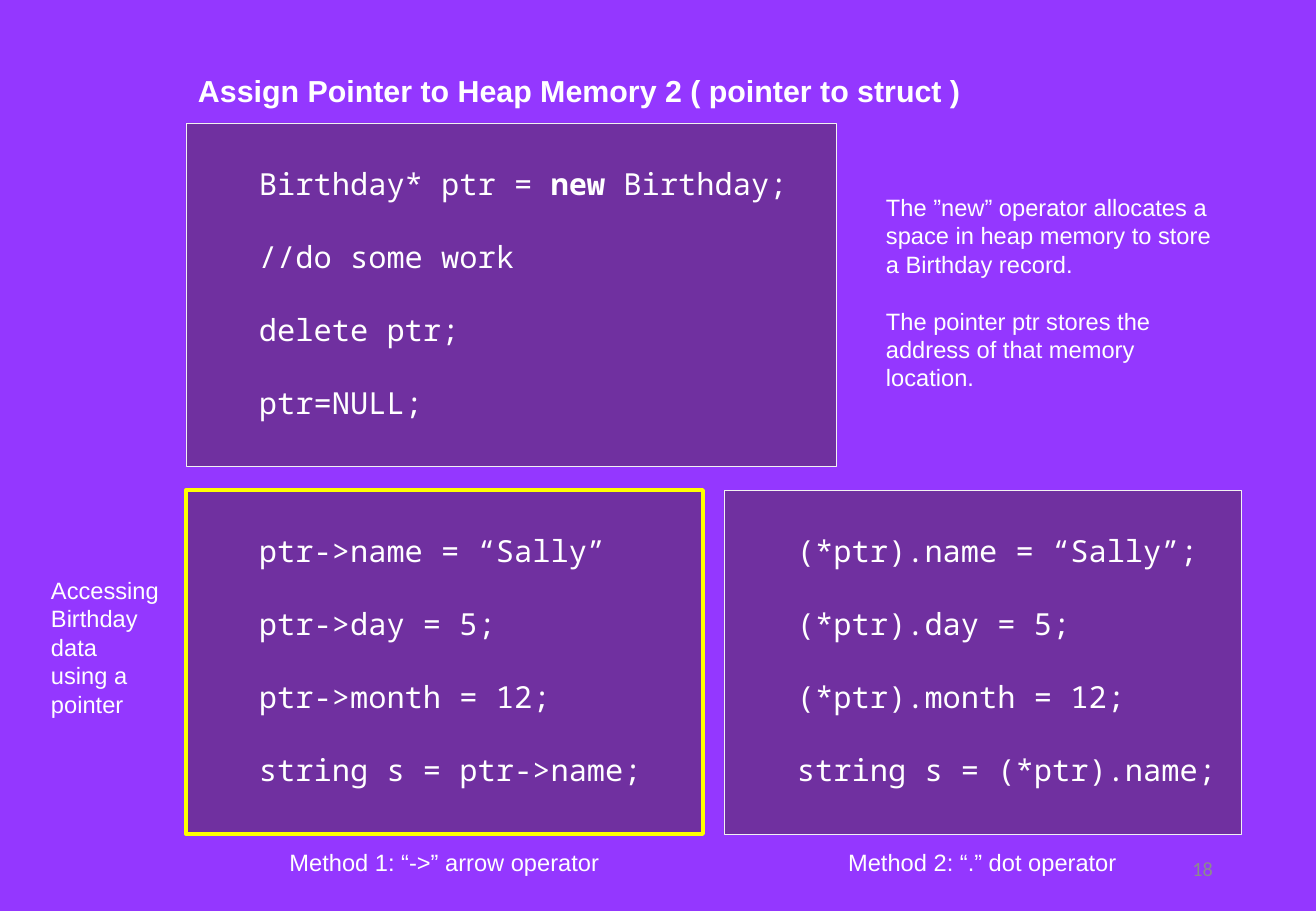
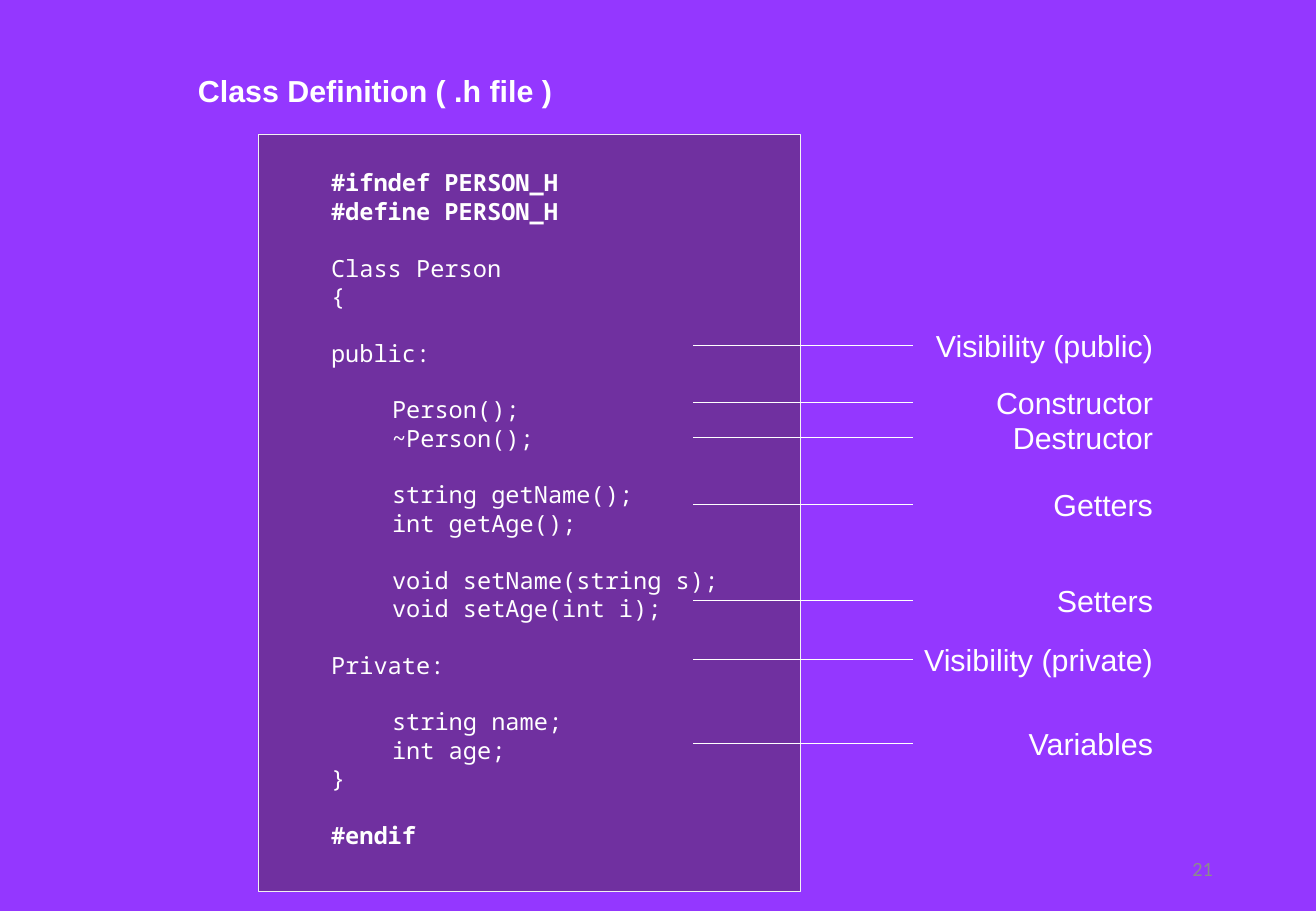
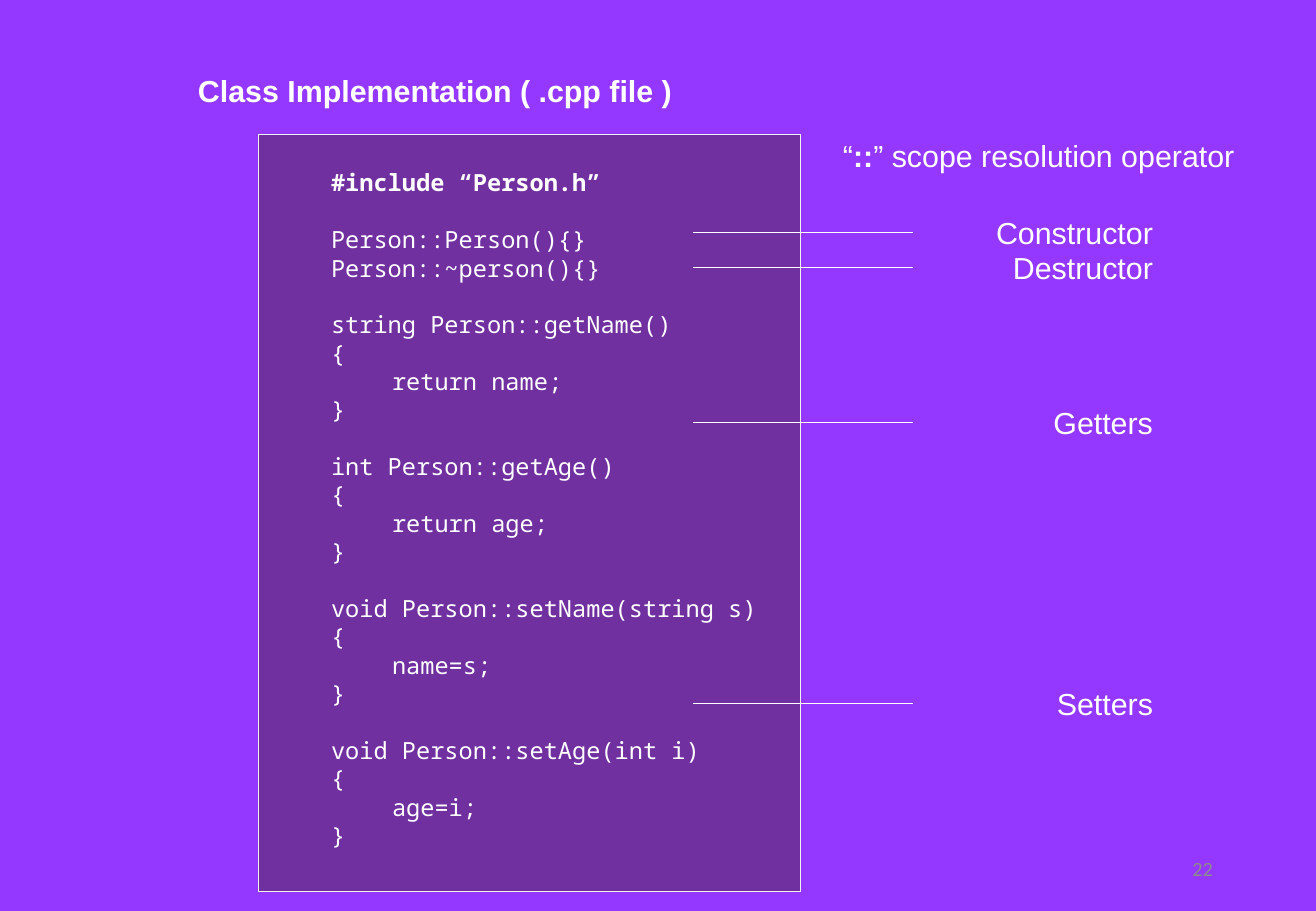
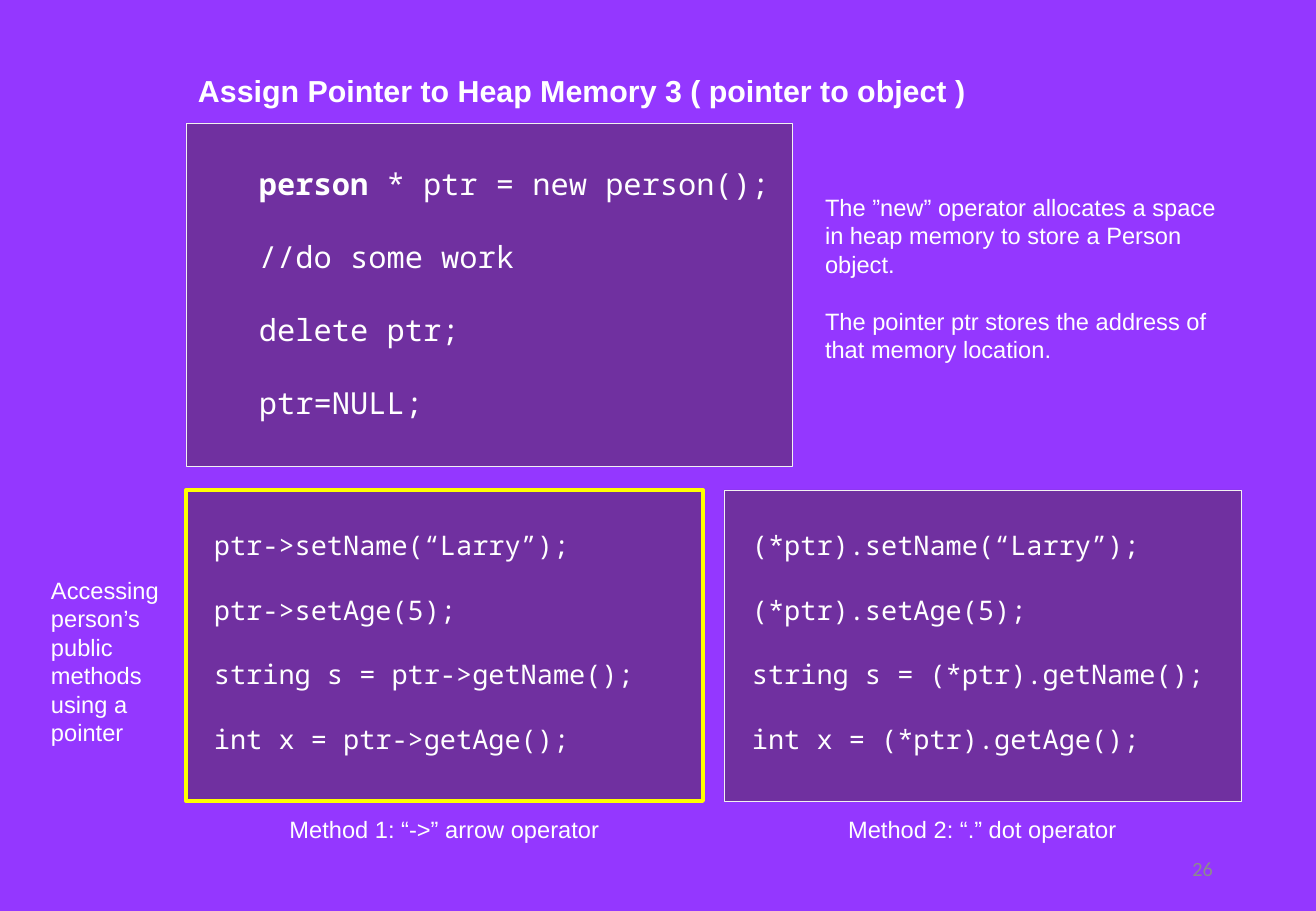
from pptx import Presentation
from pptx import util as u
from pptx.dml.color import RGBColor
from pptx.enum import shapes, text
from pptx.oxml.ns import qn
from lxml import etree

PX = 914400 / 121.5
COLOURS = {
    "page": "9437FF",
    "panel": "7030A0",
    "text": "FFFFFF",
    "border": "F2F2F2",
    "highlight": "FFFF00",
    "number": "8C8C8C",
}
STYLES = {
    "title": {"size": 18, "name": "Arial", "color": "text", "bold": True},
    "label": {"size": 18, "name": "Arial", "color": "text"},
    "note": {"size": 14, "name": "Arial", "color": "text"},
    "code large": {"size": 18, "name": "Noto Sans Mono", "color": "text"},
    "code medium": {"size": 16, "name": "Noto Sans Mono", "color": "text"},
    "code small": {"size": 14, "name": "Noto Sans Mono", "color": "text"},
    "number": {"size": 12, "name": "Calibri", "color": "number"},
}
PAGE_W, PAGE_H = 1316, 911
INSET_X, INSET_Y = 12, 6
TAB = 61
LEFT, RIGHT = 186, 1241
LINE_FACTOR = 1.2
METHODS = ["Method 1: “->” arrow operator", "Method 2: “.” dot operator"]

# Text is a list of blocks with a blank line's gap between them. A block is a
# list of lines, "|" switches bold, and each leading tab is one indent.
POINTER_SLIDES = [
    {
        "number": "18",
        "title": "Assign Pointer to Heap Memory 2 ( pointer to struct )",
        "allocation": [["Birthday* ptr = |new| Birthday;"], ["//do some work"],
                       ["delete ptr;"], ["ptr=NULL;"]],
        "allocation_w": 650,
        "note": [["The ”new” operator allocates a space in heap memory to store a Birthday record."],
                 ["The pointer ptr stores the address of that memory location."]],
        "note_left": 874,
        "side": [["Accessing Birthday data", "using a pointer"]],
        "access": [
            [["ptr->name = “Sally”"], ["ptr->day = 5;"],
             ["ptr->month = 12;"], ["string s = ptr->name;"]],
            [["(*ptr).name = “Sally”;"], ["(*ptr).day = 5;"],
             ["(*ptr).month = 12;"], ["string s = (*ptr).name;"]],
        ],
        "access_style": "code large",
        "access_indent": TAB,
        "access_h": 344,
    },
    {
        "number": "26",
        "title": "Assign Pointer to Heap Memory 3 ( pointer to object )",
        "allocation": [["|person| * ptr = new person();"], ["//do some work"],
                       ["delete ptr;"], ["ptr=NULL;"]],
        "allocation_w": 606,
        "note": [["The ”new” operator allocates a space in heap memory to store a Person object."],
                 ["The pointer ptr stores the address of that memory location."]],
        "note_left": 813,
        "side": [["Accessing person’s public methods using a pointer"]],
        "access": [
            [["ptr->setName(“Larry”);"], ["ptr->setAge(5);"],
             ["string s = ptr->getName();"], ["int x = ptr->getAge();"]],
            [["(*ptr).setName(“Larry”);"], ["(*ptr).setAge(5);"],
             ["string s = (*ptr).getName();"], ["int x = (*ptr).getAge();"]],
        ],
        "access_style": "code medium",
        "access_indent": 16,
        "access_h": 311,
    },
]
CLASS_SLIDES = [
    {
        "number": "21",
        "title": "Class Definition ( .h file )",
        "code": [
            ["|#ifndef PERSON_H|", "|#define PERSON_H|"],
            ["Class Person", "{"],
            ["public:"],
            ["\tPerson();", "\t~Person();"],
            ["\tstring getName();", "\tint getAge();"],
            ["\tvoid setName(string s);", "\tvoid setAge(int i);"],
            ["Private:"],
            ["\tstring name;", "\tint age;", "}"],
            ["|#endif|"],
        ],
        "labels": [("Visibility (public)", 345), ("Constructor", 402), ("Destructor", 437),
                   ("Getters", 504), ("Setters", 600), ("Visibility (private)", 659),
                   ("Variables", 743)],
    },
    {
        "number": "22",
        "title": "Class Implementation ( .cpp file )",
        "code": [
            ["|#include “Person.h”|"],
            ["Person::Person(){}", "Person::~person(){}"],
            ["string Person::getName()", "{", "\treturn name;", "}"],
            ["int Person::getAge()", "{", "\treturn age;", "}"],
            ["void Person::setName(string s)", "{", "\tname=s;", "}"],
            ["void Person::setAge(int i)", "{", "\tage=i;", "}"],
        ],
        "labels": [("Constructor", 232), ("Destructor", 267), ("Getters", 422), ("Setters", 703)],
        "remark": [["“|::|” scope resolution operator"]],
    },
]


def px(*lengths):
    return [u.Emu(round(length * PX)) for length in lengths]


def rgb(name):
    return RGBColor.from_string(COLOURS[name])


def add_spans(para, line, style):
    for index, part in enumerate(line.split("|")):
        if not part:
            continue
        span = para.add_run()
        span.text = part
        values = {"bold": index % 2 == 1, **STYLES[style]}
        span.font.color.rgb = rgb(values.pop("color"))
        values["size"] = u.Pt(values["size"])
        for name, value in values.items():
            setattr(span.font, name, value)


def write(box, blocks, style, indent=0, align="LEFT", anchor="TOP", top=INSET_Y):
    """Fill a box with blocks of lines, one line's height between blocks."""
    frame = box.text_frame
    margins = px(INSET_X, top, INSET_X, INSET_Y)
    for side, margin in zip(("left", "top", "right", "bottom"), margins):
        setattr(frame, f"margin_{side}", margin)
    frame.word_wrap = True
    frame.vertical_anchor = getattr(text.MSO_ANCHOR, anchor)
    pitch = u.Pt(STYLES[style]["size"] * LINE_FACTOR)
    lines = [(line, row == 0) for block in blocks for row, line in enumerate(block)]
    for index, (line, starts_block) in enumerate(lines):
        para = frame.add_paragraph() if index else frame.paragraphs[0]
        para.alignment = getattr(text.PP_ALIGN, align)
        para.line_spacing = pitch
        para.space_before = pitch if index and starts_block else u.Pt(0)
        code = line.lstrip("\t")
        offset = indent + TAB * (len(line) - len(code))
        para._p.get_or_add_pPr().set("marL", str(px(offset)[0]))
        add_spans(para, code, style)


def add_text(page, place, blocks, style, **layout):
    write(page.shapes.add_textbox(*px(*place)), blocks, style, **layout)


def add_panel(page, place, blocks, style, indent=TAB, border="border", weight=0.25):
    """Draw a code panel whose text starts one line below the top."""
    panel = page.shapes.add_shape(shapes.MSO_SHAPE.RECTANGLE, *px(*place))
    panel.shadow.inherit = False
    panel.fill.solid()
    panel.fill.fore_color.rgb = rgb("panel")
    panel.line.color.rgb = rgb(border)
    panel.line.width = u.Pt(weight)
    line_px = STYLES[style]["size"] * LINE_FACTOR * u.Pt(1) / PX
    write(panel, blocks, style, indent=indent, top=INSET_Y + line_px)


def add_pointer_line(page, y):
    line = page.shapes.add_connector(shapes.MSO_CONNECTOR.STRAIGHT, *px(913, y, 693, y))
    line.line.color.rgb = rgb("text")
    line.line.width = u.Pt(0.5)
    etree.SubElement(line._element.spPr, qn("a:effectLst"))


def add_page(deck, content):
    page = deck.slides.add_slide(deck.slide_layouts[6])
    add_text(page, (LEFT, 66, 900, 49), [[content["title"]]], "title")
    add_text(page, (929, 844, 296, 49), [[content["number"]]], "number",
             align="RIGHT", anchor="MIDDLE")
    return page


def add_pointer_page(deck, content):
    page = add_page(deck, content)
    add_panel(page, (LEFT, 123, content["allocation_w"], 343), content["allocation"], "code large")
    note_left = content["note_left"]
    add_text(page, (note_left, 187, RIGHT - note_left, 183), content["note"], "note")
    add_text(page, (39, 570, 143, 183), content["side"], "note")

    top, width, height = 490, 517, content["access_h"]
    borders = [("highlight", 2.25), ("border", 0.25)]
    lefts = [LEFT, RIGHT - width]
    for left, code, method, (border, weight) in zip(lefts, content["access"], METHODS, borders):
        add_panel(page, (left, top, width, height), code, content["access_style"],
                  content["access_indent"], border, weight)
        add_text(page, (left, top + height + 8, width, 41), [[method]], "note", align="CENTER")


def add_class_page(deck, content):
    page = add_page(deck, content)
    add_panel(page, (258, 134, 542, 757), content["code"], "code small")
    for label, y in content["labels"]:
        add_text(page, (900, y - 24, 265, 49), [[label]], "label", align="RIGHT")
        add_pointer_line(page, y)
    if "remark" in content:
        add_text(page, (831, 131, 440, 49), content["remark"], "label")


def main():
    deck = Presentation()
    deck.slide_width, deck.slide_height = px(PAGE_W, PAGE_H)
    background = deck.slide_master.background.fill
    background.solid()
    background.fore_color.rgb = rgb("page")

    first, last = POINTER_SLIDES
    add_pointer_page(deck, first)
    for content in CLASS_SLIDES:
        add_class_page(deck, content)
    add_pointer_page(deck, last)
    deck.save("out.pptx")


if __name__ == "__main__":
    main()
